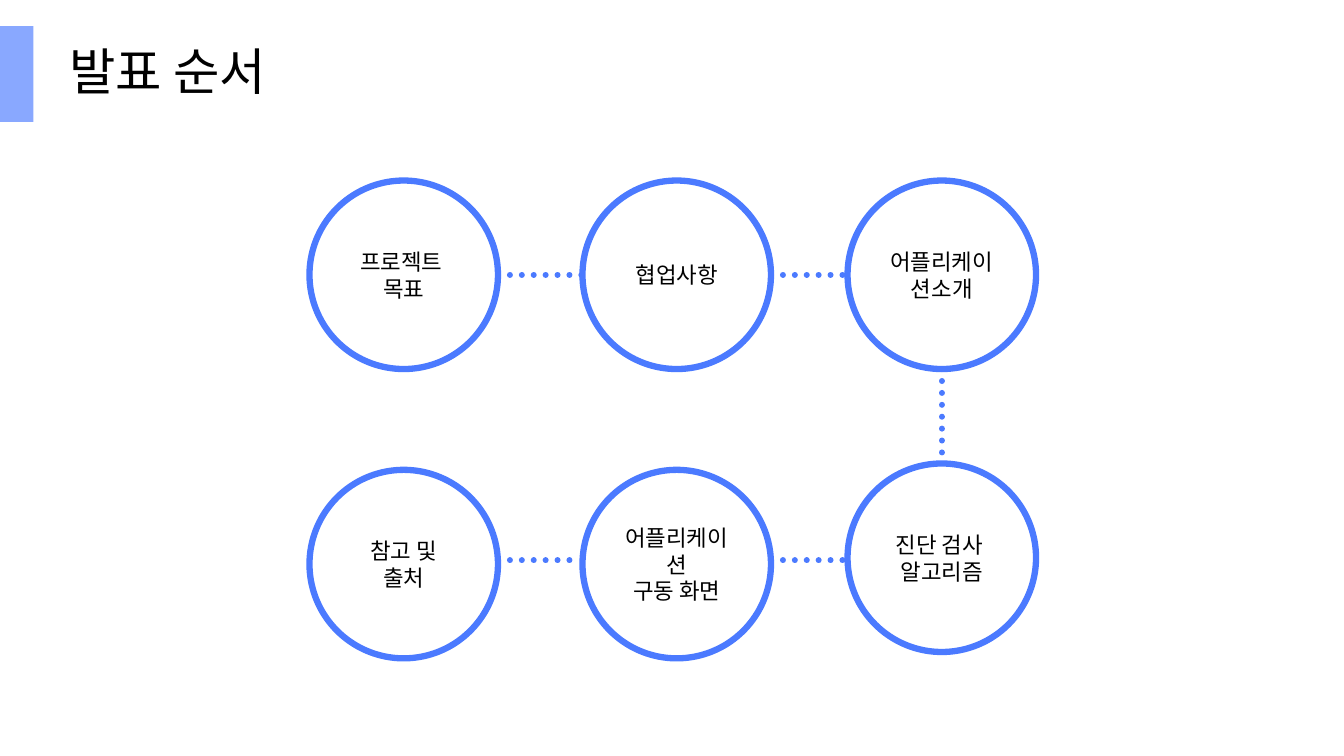
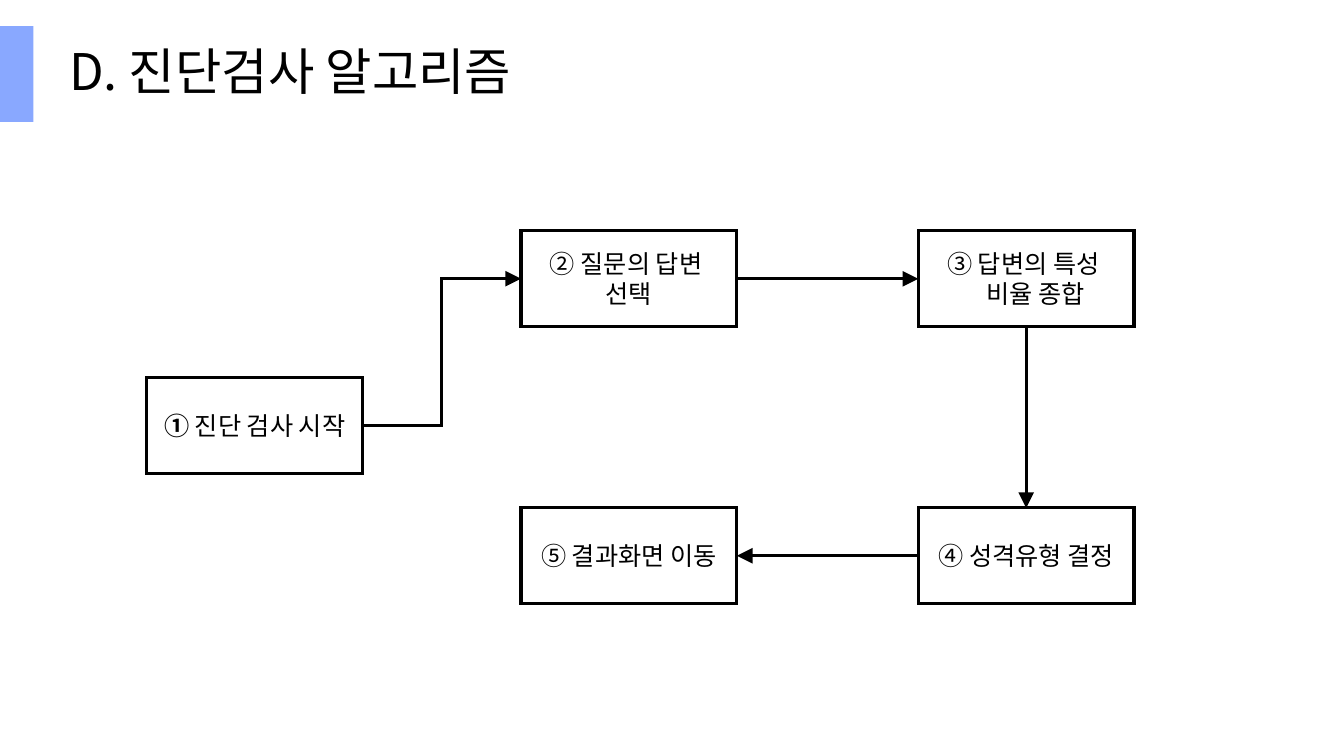
from lxml.etree import SubElement
from pptx import Presentation
from pptx.dml.color import RGBColor
from pptx.enum.dml import MSO_LINE
from pptx.enum.shapes import MSO_CONNECTOR, MSO_SHAPE
from pptx.enum.text import MSO_ANCHOR, PP_ALIGN
from pptx.oxml.ns import qn
from pptx.util import Cm, Pt

FONT = "Noto Sans CJK KR"
BLACK, BLUE, PALE = "000000", "4B7AFF", "89A8FF"


def write(shape, text, size, align=PP_ALIGN.CENTER, bold=0, spacing=None):
    """Fill shape with text, one paragraph a line; the first `bold` characters are bold."""
    frame = shape.text_frame
    frame.word_wrap = True
    frame.vertical_anchor = MSO_ANCHOR.MIDDLE
    for i, line in enumerate(text.split("\n")):
        para = frame.add_paragraph() if i else frame.paragraphs[0]
        para.alignment = align
        para.line_spacing = spacing
        for part, heavy in ((line[:bold], True), (line[bold:], False)):
            if part:
                run = para.add_run()
                run.text = part
                run.font.name = FONT
                run.font.size = Pt(size)
                run.font.bold = heavy
                run.font.color.rgb = RGBColor.from_string(BLACK)
                SubElement(run.font._element, qn("a:ea"), typeface=FONT)


def style(item, color, width, dots=False, arrow=False):
    """Give a shape or connector its outline and remove its shadow."""
    item.line.color.rgb = RGBColor.from_string(color)
    item.line.width = Pt(width)
    ln = item.line._get_or_add_ln()
    if dots:
        item.line.dash_style = MSO_LINE.ROUND_DOT
        ln.set("cap", "rnd")
    SubElement(ln, qn("a:miter"), lim="800000")
    if arrow:
        SubElement(ln, qn("a:tailEnd"), type="triangle", w="lg", len="lg")
    SubElement(item._element.spPr, qn("a:effectLst"))


deck = Presentation()
deck.slide_width, deck.slide_height = Cm(33.87), Cm(19.05)

# Title and side bar on every slide
pages = []
for title in ("발표 순서", "D. 진단검사 알고리즘"):
    page = deck.slides.add_slide(deck.slide_layouts[6]).shapes
    head = page.add_textbox(Cm(0.84), Cm(0.66), Cm(33.02), Cm(2.41))
    head.text_frame.margin_left = Cm(0.9)
    write(head, title, 36, align=PP_ALIGN.LEFT, spacing=0.9)
    bar = page.add_shape(MSO_SHAPE.RECTANGLE, 0, Cm(0.66), Cm(0.84), Cm(2.41))
    bar.shadow.inherit = False
    bar.fill.solid()
    bar.fill.fore_color.rgb = RGBColor.from_string(PALE)
    bar.line.fill.background()
    pages.append(page)
agenda, flow = pages

# Agenda: six circles on a dotted path
SIZE = 4.75
LEFT, MID, RIGHT = 7.8, 14.68, 21.36
TOP, LOW = 4.55, 11.84
LAST = 11.68
high, deep = TOP + SIZE / 2, 14.12
for x1, y1, x2, y2 in (
    (LEFT + SIZE, high, MID, high),
    (MID + SIZE, high, RIGHT, high),
    (RIGHT + SIZE / 2, TOP + SIZE, RIGHT + SIZE / 2, LAST),
    (MID + SIZE, deep, RIGHT, deep),
    (LEFT + SIZE, deep, 14.45, deep),
):
    link = agenda.add_connector(MSO_CONNECTOR.STRAIGHT, Cm(x1), Cm(y1), Cm(x2), Cm(y2))
    style(link, BLUE, 4.25, dots=True)

for text, x, y in (
    ("프로젝트 \n목표", LEFT, TOP),
    ("협업사항", MID, TOP),
    ("어플리케이션소개", RIGHT, TOP),
    ("진단 검사 \n알고리즘", RIGHT, LAST),
    ("어플리케이션\n구동 화면", MID, LOW),
    ("참고 및\n출처", LEFT, LOW),
):
    ring = agenda.add_shape(MSO_SHAPE.OVAL, Cm(x), Cm(y), Cm(SIZE), Cm(SIZE))
    ring.fill.background()
    style(ring, BLUE, 4.5)
    write(ring, text, 16)

# Flow: five steps joined by arrows
steps = []
for text, x, y, bold in (
    ("① 진단 검사 시작", 3.7, 9.52, 1),
    ("② 질문의 답변 \n선택", 13.13, 5.82, 0),
    ("③ 답변의 특성 \n비율 종합", 23.14, 5.82, 0),
    ("④ 성격유형 결정", 23.14, 12.8, 0),
    ("⑤ 결과화면 이동", 13.13, 12.8, 0),
):
    box = flow.add_shape(MSO_SHAPE.RECTANGLE, Cm(x), Cm(y), Cm(5.44), Cm(2.41))
    box.fill.background()
    style(box, BLACK, 2.25)
    write(box, text, 18, bold=bold)
    steps.append(box)
# The second line of step 3 is indented
steps[2].text_frame.paragraphs[1]._p.get_or_add_pPr().set("marL", str(Cm(0.48)))

# Sides: 0 top, 1 left, 2 bottom, 3 right
for i, (kind, start, end) in enumerate((
    (MSO_CONNECTOR.ELBOW, 3, 1),
    (MSO_CONNECTOR.STRAIGHT, 3, 1),
    (MSO_CONNECTOR.STRAIGHT, 2, 0),
    (MSO_CONNECTOR.STRAIGHT, 1, 3),
)):
    link = flow.add_connector(kind, 0, 0, 0, 0)
    link.begin_connect(steps[i], start)
    link.end_connect(steps[i + 1], end)
    style(link, BLACK, 2.25, arrow=True)

deck.save("out.pptx")
